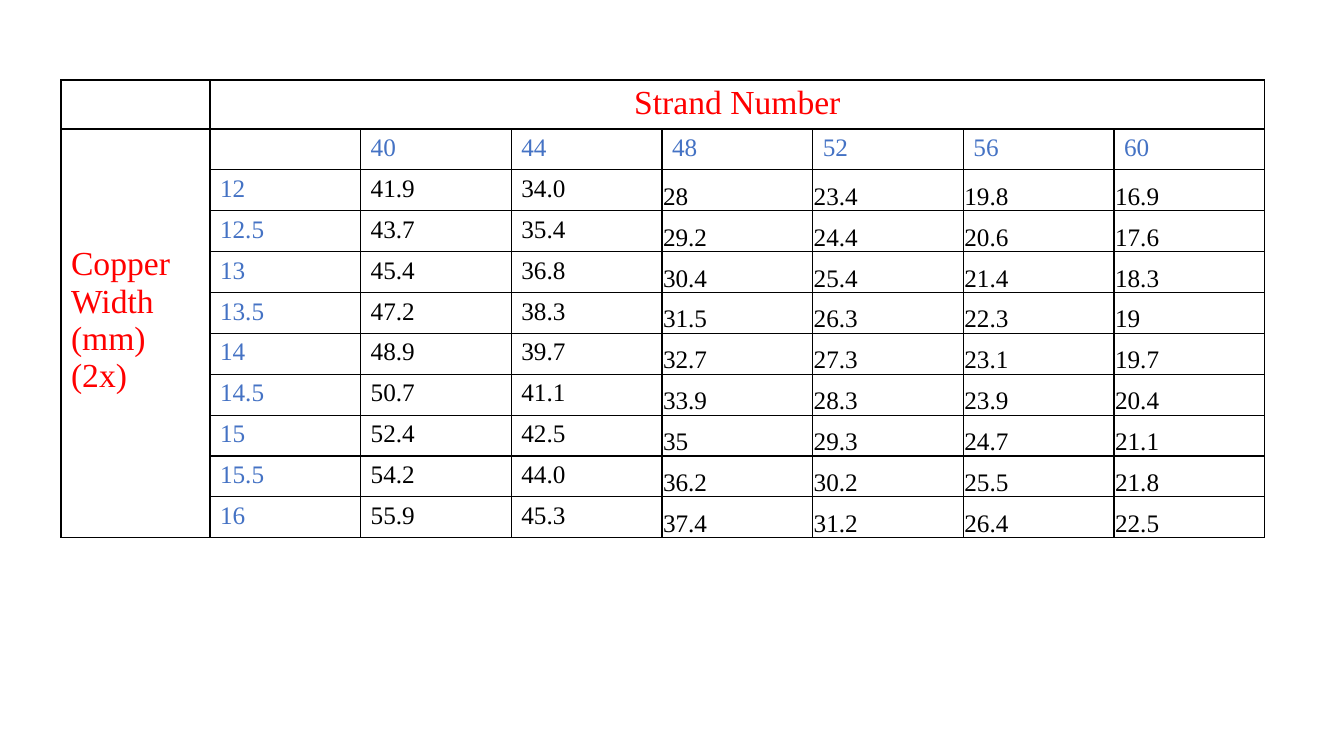
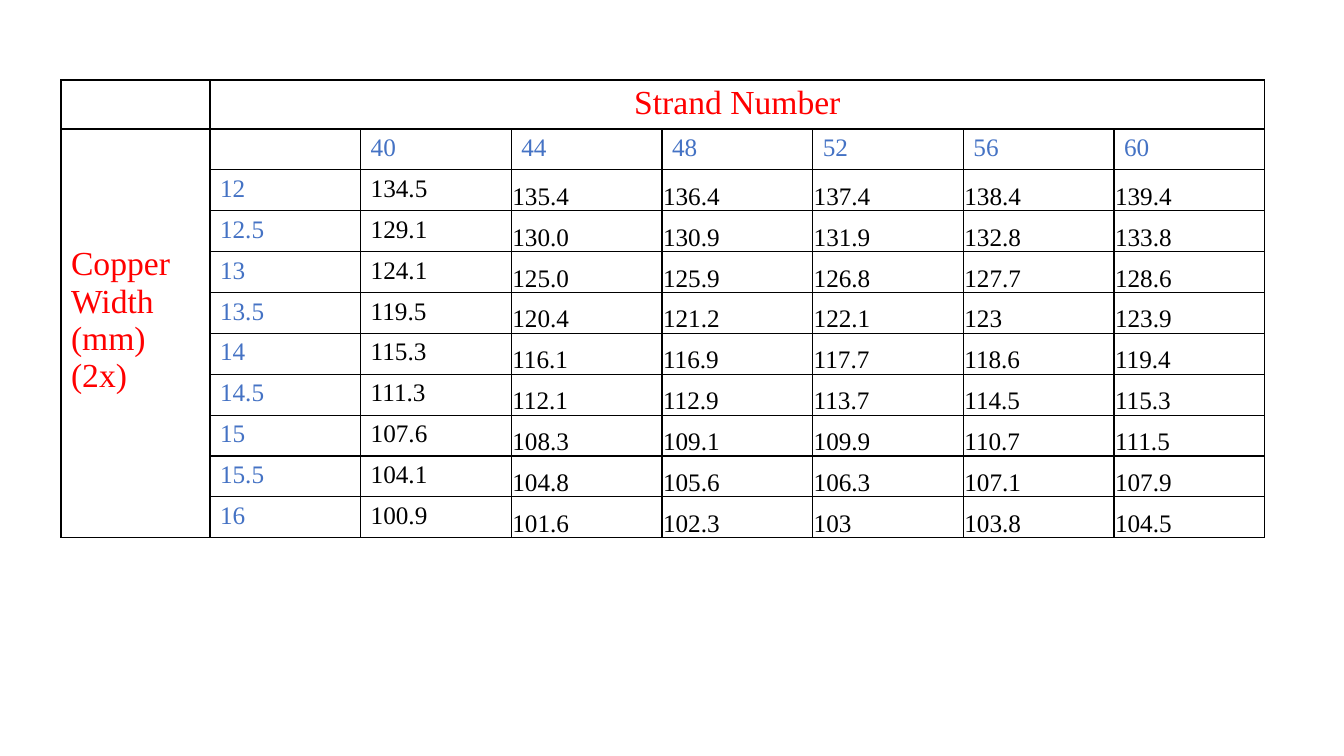
from lxml.etree import SubElement
from pptx import Presentation
from pptx.dml.color import RGBColor
from pptx.enum.text import MSO_ANCHOR as Anchor, PP_ALIGN as Align
from pptx.oxml.ns import qn
from pptx.util import Pt

SLIDE_W, SLIDE_H = 1344, 756
SCALE = 12192000 / SLIDE_W
COLORS = {"heading": "FF0000", "axis": "4472C4", "value": "000000",
          "border": "000000", "cell": "FFFFFF"}
FONT = "Times New Roman"
TABLE_BOX = (61, 80, 1204, 458)
SIDE_W, HEAD_H = 149, 49
TIGHT = {"margin_left": 1, "margin_right": 1, "margin_top": 1, "margin_bottom": 0}
SIDE_MARGIN = {"margin_top": 117}

STRANDS = ["40", "44", "48", "52", "56", "60"]
WIDTHS = ["12", "12.5", "13", "13.5", "14", "14.5", "15", "15.5", "16"]

FALLING_VALUES = """
41.9 34.0 28 23.4 19.8 16.9
43.7 35.4 29.2 24.4 20.6 17.6
45.4 36.8 30.4 25.4 21.4 18.3
47.2 38.3 31.5 26.3 22.3 19
48.9 39.7 32.7 27.3 23.1 19.7
50.7 41.1 33.9 28.3 23.9 20.4
52.4 42.5 35 29.3 24.7 21.1
54.2 44.0 36.2 30.2 25.5 21.8
55.9 45.3 37.4 31.2 26.4 22.5
"""
RISING_VALUES = """
134.5 135.4 136.4 137.4 138.4 139.4
129.1 130.0 130.9 131.9 132.8 133.8
124.1 125.0 125.9 126.8 127.7 128.6
119.5 120.4 121.2 122.1 123 123.9
115.3 116.1 116.9 117.7 118.6 119.4
111.3 112.1 112.9 113.7 114.5 115.3
107.6 108.3 109.1 109.9 110.7 111.5
104.1 104.8 105.6 106.3 107.1 107.9
100.9 101.6 102.3 103 103.8 104.5
"""
# Each slide: its values and how many leading value columns keep the normal margins
SLIDES = [(FALLING_VALUES, 2), (RISING_VALUES, 1)]


def px(length):
    return round(length * SCALE)


def style_cell(cell):
    """Give a cell thin borders and a plain fill."""
    props = cell._tc.get_or_add_tcPr()
    for side in ("lnL", "lnR", "lnT", "lnB"):
        line = SubElement(props, qn(f"a:{side}"), w=str(Pt(1)))
        fill = SubElement(line, qn("a:solidFill"))
        SubElement(fill, qn("a:srgbClr"), val=COLORS["border"])
    cell.fill.solid()
    cell.fill.fore_color.rgb = RGBColor.from_string(COLORS["cell"])


def write(cell, text, color, size=18, align=Align.LEFT, anchor=Anchor.TOP, margins=None):
    for name, length in (margins or {}).items():
        setattr(cell, name, px(length))
    cell.vertical_anchor = anchor
    paragraph = cell.text_frame.paragraphs[0]
    paragraph.alignment = align
    run = paragraph.add_run()
    run.text = text
    for name, value in {"name": FONT, "size": Pt(size)}.items():
        setattr(run.font, name, value)
    run.font.color.rgb = RGBColor.from_string(COLORS[color])


def add_grid(slide, box, row_count, column_count):
    """Add an empty bordered table whose first row and column have set sizes."""
    width, height = box[2:]
    table = slide.shapes.add_table(row_count, column_count, *map(px, box)).table
    table.first_row = table.horz_banding = False
    for index, column in enumerate(table.columns):
        column.width = px((width - SIDE_W) / (column_count - 1) if index else SIDE_W)
    for index, row in enumerate(table.rows):
        row.height = px((height - HEAD_H) / (row_count - 1) if index else HEAD_H)
    for cell in table.iter_cells():
        style_cell(cell)
    return table


def add_strand_table(slide, box, values, padded_columns):
    table = add_grid(slide, box, len(WIDTHS) + 2, len(STRANDS) + 2)
    strand_heading, width_heading = table.cell(0, 1), table.cell(1, 0)
    strand_heading.merge(table.cell(0, len(STRANDS) + 1))
    width_heading.merge(table.cell(len(WIDTHS) + 1, 0))
    write(strand_heading, "Strand Number", "heading", 24, Align.CENTER)
    write(width_heading, "Copper Width (mm) (2x)", "heading", 24, margins=SIDE_MARGIN)

    for column, strand in enumerate(STRANDS, 2):
        write(table.cell(1, column), strand, "axis")
    for row, (width, line) in enumerate(zip(WIDTHS, values.split("\n")[1:]), 2):
        write(table.cell(row, 1), width, "axis")
        for column, value in enumerate(line.split(), 2):
            tight = column - 2 >= padded_columns
            write(table.cell(row, column), value, "value",
                  anchor=Anchor.BOTTOM if tight else Anchor.TOP,
                  margins=TIGHT if tight else None)


def main():
    deck = Presentation()
    deck.slide_width, deck.slide_height = px(SLIDE_W), px(SLIDE_H)
    blank = deck.slide_layouts[6]
    for values, padded_columns in SLIDES:
        add_strand_table(deck.slides.add_slide(blank), TABLE_BOX, values, padded_columns)
    deck.save("out.pptx")


if __name__ == "__main__":
    main()
